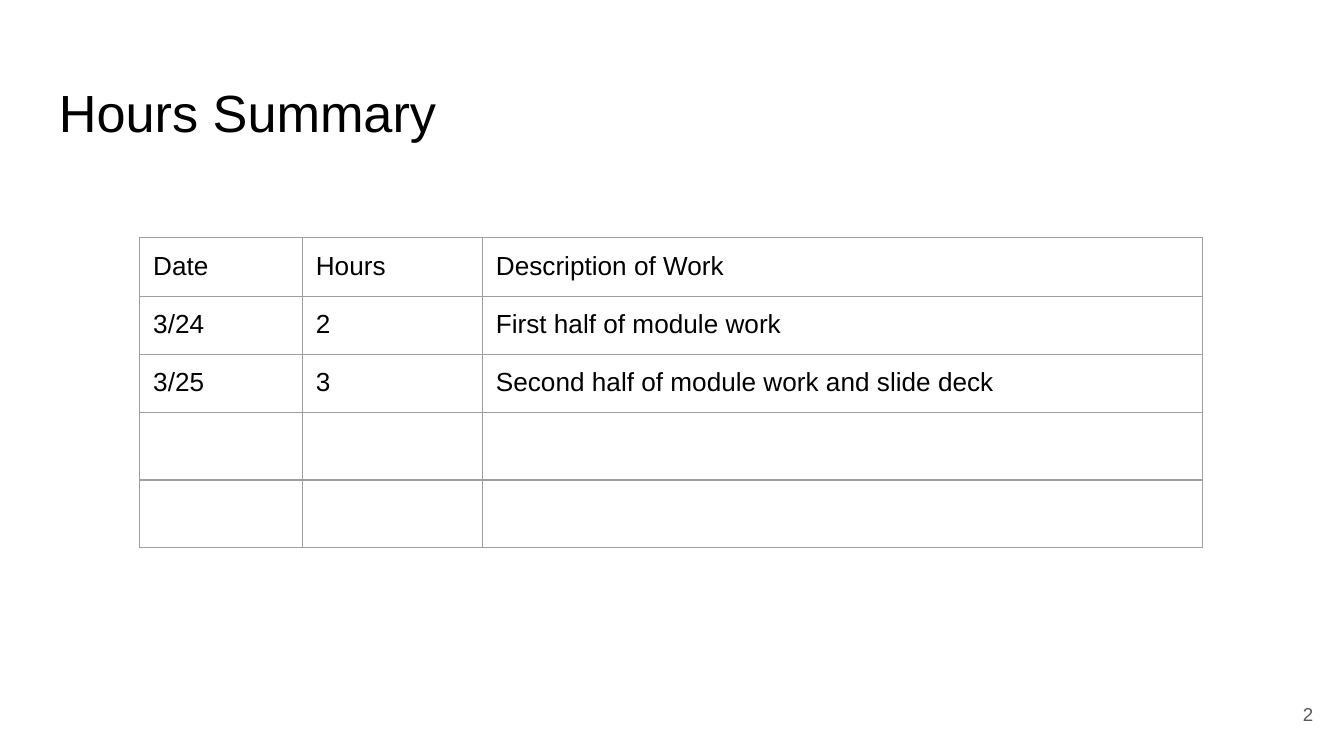
from lxml.etree import SubElement
from pptx import Presentation
from pptx.dml.color import RGBColor as RGB
from pptx.enum.text import MSO_ANCHOR as ANCHOR, PP_ALIGN as ALIGN
from pptx.oxml.ns import qn
from pptx.util import Inches, Pt

WIDTH = 10
HEIGHT = WIDTH * 9 / 16
FONT = "Arial"
INSET = 0.1
COLORS = {"text": "000000", "number": "595959", "border": "9E9E9E"}
COLUMNS = [1.21, 1.34, 5.36]
ROW_HEIGHT = Pt(30)
FRAME_SIDE = Inches(3.28)
HOURS = [
    ["Date", "Hours", "Description of Work"],
    ["3/24", "2", "First half of module work"],
    ["3/25", "3", "Second half of module work and slide deck"],
    ["", "", ""],
    ["", "", ""],
]


def add_run(p, text, size, color):
    r = p.add_run()
    r.text = text
    r.font.name = FONT
    r.font.size = Pt(size)
    r.font.color.rgb = RGB.from_string(COLORS[color])


def set_insets(frame):
    """Set the margins of a text frame or a table cell."""
    frame.margin_left = frame.margin_right = Inches(INSET)
    frame.margin_top = frame.margin_bottom = Inches(INSET)


def add_text(s, box, text, size, color, align=ALIGN.LEFT, anchor=ANCHOR.TOP):
    tf = s.shapes.add_textbox(*map(Inches, box)).text_frame
    tf.word_wrap = True
    tf.vertical_anchor = anchor
    set_insets(tf)
    p = tf.paragraphs[0]
    p.alignment = align
    add_run(p, text, size, color)


def add_borders(cell, width=0.75):
    props = cell._tc.get_or_add_tcPr()
    for index, side in enumerate(("lnL", "lnR", "lnT", "lnB")):
        line = props.makeelement(qn(f"a:{side}"), {"w": str(Pt(width))})
        fill = SubElement(line, qn("a:solidFill"))
        SubElement(fill, qn("a:srgbClr"), val=COLORS["border"])
        props.insert(index, line)


def add_hours_table(s, left, top):
    """Add the table; its rows grow to fit their text inside a square frame."""
    frame = s.shapes.add_table(len(HOURS), len(COLUMNS), Inches(left), Inches(top),
                               FRAME_SIDE, FRAME_SIDE)
    table = frame.table
    table.first_row = table.horz_banding = False
    for column, width in zip(table.columns, COLUMNS):
        column.width = Inches(width)
    for row, texts in zip(table.rows, HOURS):
        row.height = ROW_HEIGHT
        for cell, text in zip(row.cells, texts):
            set_insets(cell)
            cell.fill.background()
            add_borders(cell)
            if text:
                add_run(cell.text_frame.paragraphs[0], text, 14, "text")
    frame.width = frame.height = FRAME_SIDE


def main():
    prs = Presentation()
    prs.slide_width, prs.slide_height = Inches(WIDTH), Inches(HEIGHT)
    s = prs.slides.add_slide(prs.slide_layouts[6])
    margin = 0.034 * WIDTH
    add_text(s, (margin, 0.5, WIDTH - 2 * margin, 0.63), "Hours Summary", 28, "text")
    add_hours_table(s, 1.04, 1.77)
    add_text(s, (9.27, 5.1, 0.6, 0.43), "2", 10, "number", ALIGN.RIGHT, ANCHOR.MIDDLE)
    prs.save("out.pptx")


if __name__ == "__main__":
    main()
